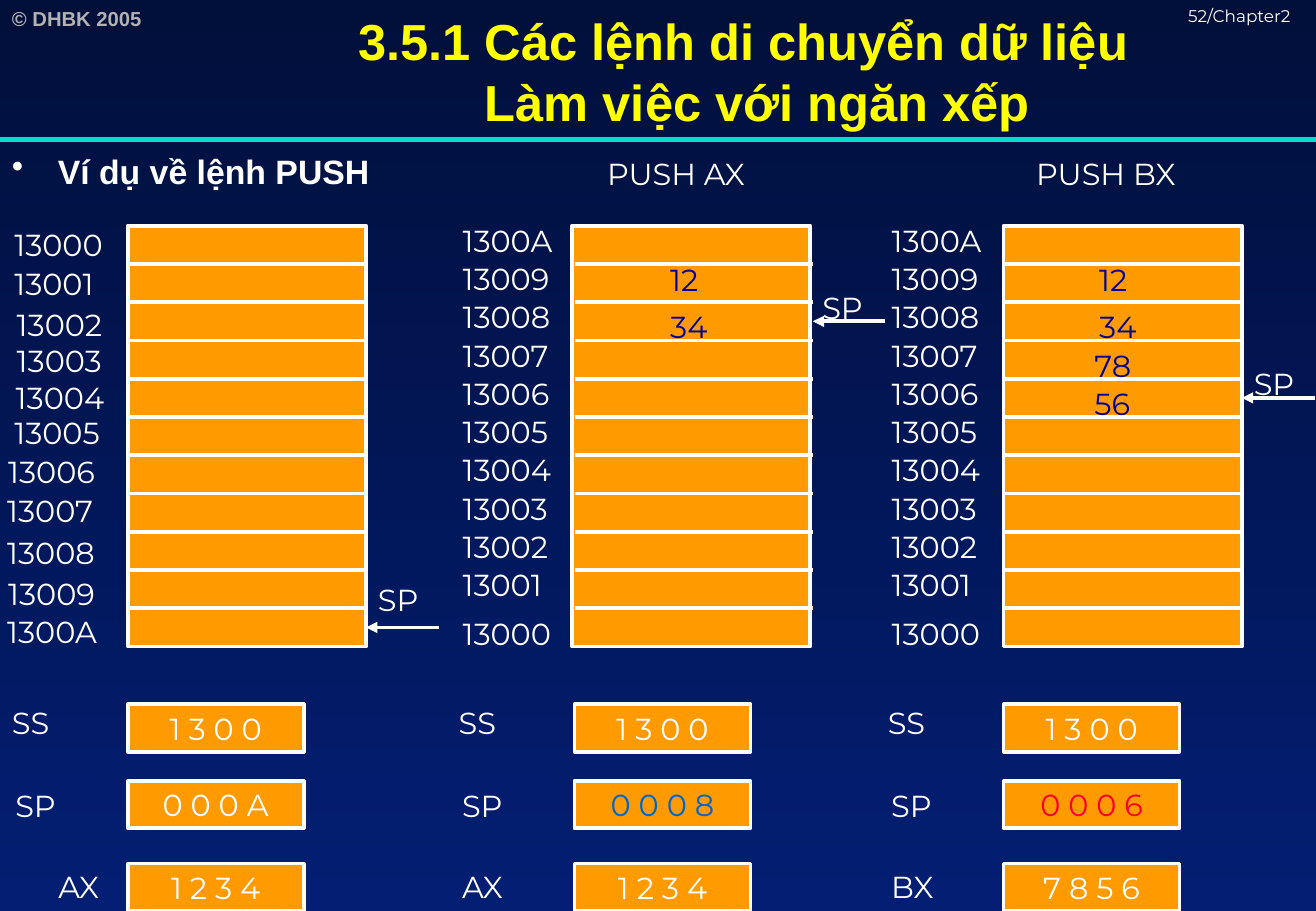
from pptx import Presentation, util as u
from pptx.dml.color import RGBColor
from pptx.enum import shapes, text
from pptx.oxml.ns import qn
from lxml import etree

WHITE = RGBColor(0xFF, 0xFF, 0xFF)
YELLOW = RGBColor(0xFF, 0xFF, 0x00)
GREY = RGBColor(0xB2, 0xB2, 0xB2)
ORANGE = RGBColor(0xFF, 0x9B, 0x00)
TEAL = RGBColor(0x00, 0xDF, 0xCA)
NAVY = RGBColor(0x00, 0x00, 0x99)
BLUE = RGBColor(0x00, 0x66, 0xCC)
RED = RGBColor(0xFF, 0x00, 0x28)
SKY_TOP = RGBColor(0x01, 0x0F, 0x3B)
SKY_BOTTOM = RGBColor(0x03, 0x1E, 0x73)

PAGE_WIDTH, PAGE_HEIGHT = 27.51, 19.05
CELL_WIDTH, CELL_HEIGHT = 4.98, 0.8
LABEL_HEIGHT = 1.02
STACK_TOP = 4.72
ADDRESSES = [f"1300{digit}" for digit in "0123456789A"]
REGISTER_TOPS = (10.01, 11.61, 13.34)
EVEN_OFFSETS = [(0, -0.2 + CELL_HEIGHT * row) for row in range(10)] + [(0, 8.01)]
LOOSE_OFFSETS = [
    (-0.03, -0.12), (-0.03, 0.69), (0.02, 1.55), (0.02, 2.32), (0, 3.08), (-0.03, 3.81),
    (-0.16, 4.63), (-0.18, 5.44), (-0.18, 6.33), (-0.16, 7.19), (-0.18, 7.98),
]


def fill_text(frame, content, size=18, font="Montserrat", color=WHITE, bold=False,
              align=text.PP_ALIGN.LEFT, anchor=text.MSO_ANCHOR.TOP, indents=(), bullet=None):
    frame.word_wrap = True
    frame.vertical_anchor = anchor
    for index, line in enumerate(content.split("\n")):
        para = frame.paragraphs[0] if index == 0 else frame.add_paragraph()
        para.alignment = align
        props = para._p.get_or_add_pPr()
        if index < len(indents):
            props.set("marL", str(u.Cm(indents[index])))
        if bullet:
            props.set("indent", str(-u.Cm(indents[index])))
            etree.SubElement(props, qn("a:buChar")).set("char", bullet)
        span = para.add_run()
        span.text = line
        span.font.size = u.Pt(size)
        span.font.name = font
        span.font.bold = bold
        span.font.color.rgb = color


def add_text(page, left, top, width, height, content, **style):
    box = page.shapes.add_textbox(u.Cm(left), u.Cm(top), u.Cm(width), u.Cm(height))
    fill_text(box.text_frame, content, **style)


def add_line(page, start, end, color=WHITE, width=2.25, arrow=False):
    line = page.shapes.add_connector(
        shapes.MSO_CONNECTOR.STRAIGHT, *(u.Cm(value) for value in (*start, *end)))
    line.line.color.rgb = color
    line.line.width = u.Pt(width)
    if arrow:
        etree.SubElement(line.line._get_or_add_ln(), qn("a:tailEnd")).set("type", "triangle")
    etree.SubElement(line._element.spPr, qn("a:effectLst"))


def add_block(page, left, top, width, height):
    block = page.shapes.add_shape(
        shapes.MSO_SHAPE.RECTANGLE, u.Cm(left), u.Cm(top), u.Cm(width), u.Cm(height))
    block.shadow.inherit = False
    block.fill.solid()
    block.fill.fore_color.rgb = ORANGE
    block.line.color.rgb = WHITE
    block.line.width = u.Pt(2.25)
    return block


def add_header(page, width, height):
    add_text(page, 0, 0, 4, 0.76, "© DHBK 2005", size=12, font="Arial", color=GREY, bold=True)
    add_line(page, (0, height), (width, height), color=TEAL, width=3)
    add_text(page, width - 2.92, 0, 2.92, 0.64, "52/Chapter2", size=10)
    add_text(page, 3.58, 0, width - 3.58, height + 0.05,
             "3.5.1 Các lệnh di chuyển dữ liệu\nLàm việc với ngăn xếp",
             size=30, font="Arial", color=YELLOW, bold=True, indents=(0, 0.58),
             align=text.PP_ALIGN.CENTER, anchor=text.MSO_ANCHOR.MIDDLE)


def add_stack(page, left, top, addresses, offsets, values=(), shift=0, heading=None):
    add_block(page, left + shift, top, CELL_WIDTH, CELL_HEIGHT * len(addresses))
    for row in range(1, len(addresses)):
        y = top + CELL_HEIGHT * row
        add_line(page, (left, y), (left + CELL_WIDTH, y))
    for address, (x, y) in zip(addresses, offsets):
        add_text(page, left - 2.59 + x, top + y, 2.84, LABEL_HEIGHT, address)
    for value, x, y in values:
        add_text(page, left + x, top + y, 1.47, LABEL_HEIGHT, value, color=NAVY)
    if heading:
        add_text(page, left + 0.43, top - 1.6, 3.99, LABEL_HEIGHT, heading)


def add_pointer(page, left, top, row, lift, shift=0):
    y = top + CELL_HEIGHT * (row + 0.5)
    add_line(page, (left + 1.52, y), (left, y), arrow=True)
    add_text(page, left + shift, y - lift, 1.55, LABEL_HEIGHT, "SP")


def add_registers(page, left, top, registers, label_offsets):
    for (name, value, color), y, (label_x, label_y) in zip(registers, REGISTER_TOPS, label_offsets):
        block = add_block(page, left, top + y, 3.68, 0.99)
        fill_text(block.text_frame, value, color=color,
                  align=text.PP_ALIGN.CENTER, anchor=text.MSO_ANCHOR.MIDDLE)
        add_text(page, left + label_x, top + label_y, 1.63, LABEL_HEIGHT, name)


def main():
    deck = Presentation()
    deck.slide_width, deck.slide_height = u.Cm(PAGE_WIDTH), u.Cm(PAGE_HEIGHT)
    page = deck.slides.add_slide(deck.slide_layouts[6])
    backdrop = page.background.fill
    backdrop.gradient()
    backdrop.gradient_angle = 270
    for stop, color, position in zip(backdrop.gradient_stops, (SKY_TOP, SKY_BOTTOM), (0, 1)):
        stop.color.rgb = color
        stop.position = position

    add_header(page, PAGE_WIDTH, 2.92)
    add_text(page, 0, 3.02, PAGE_WIDTH, 1.1, "Ví dụ về lệnh PUSH", size=20, font="Arial",
             bold=True, indents=(0.96,), bullet="•")

    pushed = [("12", 1.75, 0.61), ("34", 1.75, 1.6)]
    panels = [
        dict(left=2.67, addresses=ADDRESSES, offsets=LOOSE_OFFSETS, row=10, lift=1.09,
             last_x=-1.7, registers=[("SS", "1 3 0 0", WHITE), ("SP", "0 0 0 A", WHITE),
                                     ("AX", "1 2 3 4", WHITE)]),
        dict(left=12.01, addresses=ADDRESSES[::-1], offsets=EVEN_OFFSETS, row=2, lift=0.8,
             shift=-0.05, heading="PUSH AX", values=pushed,
             registers=[("SS", "1 3 0 0", WHITE), ("SP", "0 0 0 8", BLUE),
                        ("AX", "1 2 3 4", WHITE)]),
        dict(left=20.98, addresses=ADDRESSES[::-1], offsets=EVEN_OFFSETS, row=4, lift=0.8,
             heading="PUSH BX", values=pushed + [("78", 1.65, 2.42), ("56", 1.65, 3.2)],
             registers=[("SS", "1 3 0 0", WHITE), ("SP", "0 0 0 6", RED),
                        ("BX", "7 8 5 6", WHITE)]),
    ]
    for panel in panels:
        left, shift = panel["left"], panel.get("shift", 0)
        add_stack(page, left, STACK_TOP, panel["addresses"], panel["offsets"],
                  panel.get("values", ()), shift, panel.get("heading"))
        add_pointer(page, left + CELL_WIDTH, STACK_TOP, panel["row"], panel["lift"], shift)
        add_registers(page, left, STACK_TOP, panel["registers"],
                      [(-2.67, 9.88), (-2.6, 11.61), (panel.get("last_x", -2.6), 13.31)])
    deck.save("out.pptx")


if __name__ == "__main__":
    main()
